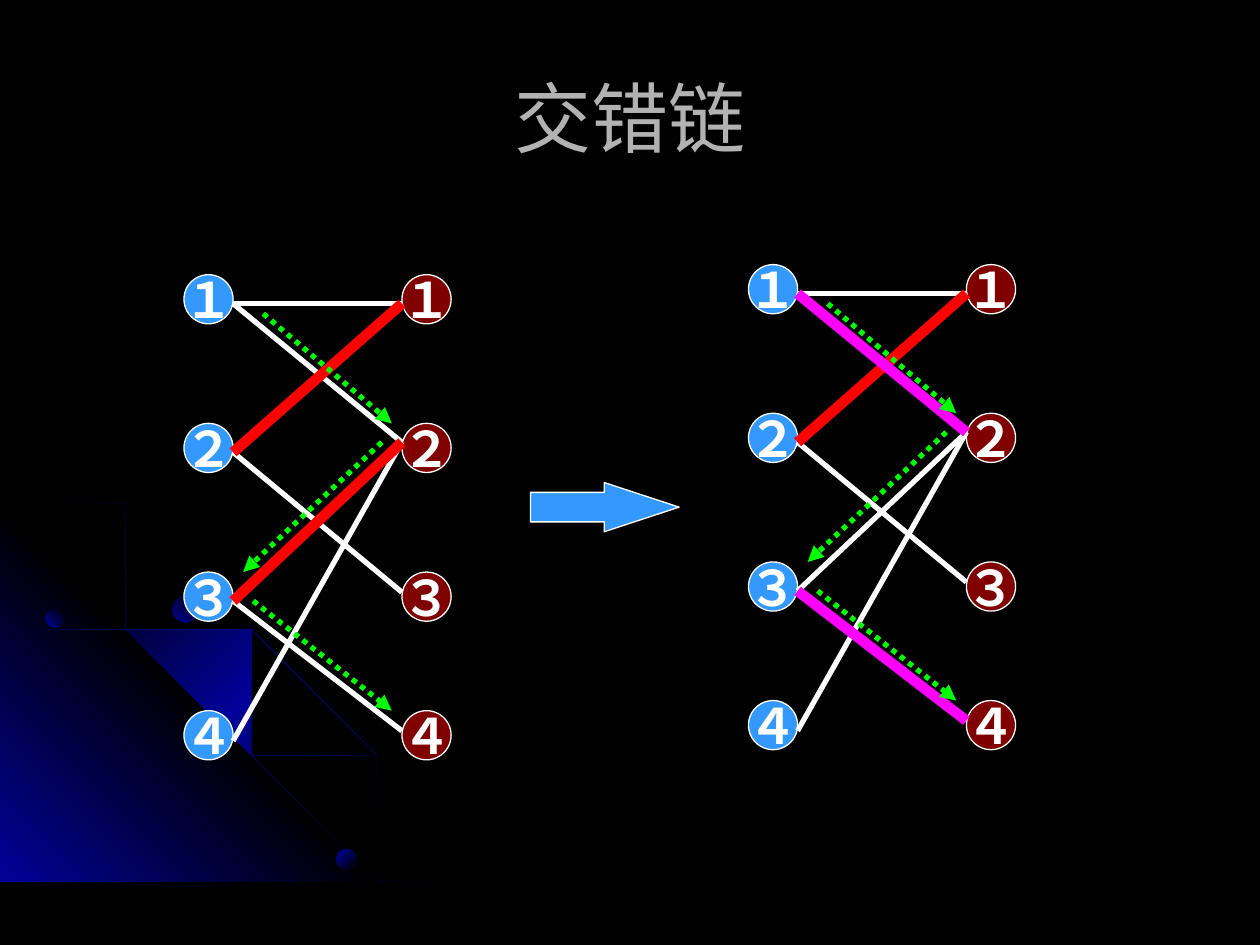
import pptx
import pptx.dml.color
import pptx.enum.dml
import pptx.enum.shapes
import pptx.enum.text
import pptx.oxml
import pptx.oxml.ns
import pptx.util

SHAPE = pptx.enum.shapes.MSO_SHAPE
Inches = pptx.util.Inches
Pt = pptx.util.Pt

COLORS = {
    "black": "000000", "navy": "010199", "title": "B2B2B2", "white": "FFFFFF",
    "left": "3399FF", "right": "800000", "red": "FF0000", "magenta": "FF00FF",
    "green": "00FF00",
}
TITLE = "交错链"
LABELS = ["１", "２", "３", "４"]
EDGES = [(1, 2), (2, 3), (2, 1), (3, 4), (1, 1), (3, 2), (4, 2)]
GRAPHS = [
    {"at": (1.46, 2.18), "marked": [(3, 2, "red"), (2, 1, "red")]},
    {"at": (5.94, 2.10), "marked": [(3, 4, "magenta"), (2, 1, "red"), (1, 2, "magenta")]},
]
STEPS = [((0.63, 0.31), (1.65, 1.18)), ((1.57, 1.33), (0.47, 2.36)), ((0.55, 2.59), (1.65, 3.46))]

SLIDE_W, SLIDE_H = 10, 7.5
NODE = 0.39
COLUMN = 1.73
ROWS = [0, 1.18, 2.36, 3.46]
LEFT_ENDS = [0.23, 1.41, 2.59, 3.70]
RIGHT_ENDS = [0.23, 1.33, 2.52, 3.62]
BAND = 0.02

ARCS = [
    [(0, 4.35), (0.57, 4.47), (0.98, 4.59), (1.36, 4.77), (1.74, 4.97), (2.09, 5.21), (2.42, 5.48),
     (2.72, 5.78), (3, 6.11), (3.25, 6.48), (3.39, 6.73), (3.52, 6.98), (3.62, 7.23), (3.72, 7.49)],
    [(0, 4.75), (0.41, 4.88), (0.79, 5.05), (1.17, 5.26), (1.52, 5.49), (1.84, 5.76), (2.15, 6.06),
     (2.42, 6.4), (2.66, 6.76), (2.86, 7.12), (2.96, 7.3), (3.03, 7.49)],
    [(0, 4.42), (0.39, 4.55), (0.76, 4.73), (1.11, 4.93), (1.44, 5.16), (1.75, 5.43), (2.04, 5.73),
     (2.29, 6.03), (2.54, 6.39), (2.69, 6.65), (2.82, 6.93), (2.94, 7.2), (3.03, 7.49)],
]
CORNER = [(0, 4.27), (3.22, 7.49), (0, 7.49)]
BEADS = [(0.36, 4.83, 0.15, 135), (2.67, 6.74, 0.16, 225), (1.37, 4.73, 0.21, 135)]


def rgb(name):
    return pptx.dml.color.RGBColor.from_string(COLORS[name])


def add_text(sp, text, size, color, font="Arial", bold=False, wrap=True):
    tf = sp.text_frame
    tf.word_wrap = wrap
    tf.vertical_anchor = pptx.enum.text.MSO_ANCHOR.MIDDLE
    p = tf.paragraphs[0]
    p.alignment = pptx.enum.text.PP_ALIGN.CENTER
    r = p.add_run()
    r.text = text
    r.font.size = Pt(size)
    r.font.name = font
    r.font.bold = bold
    r.font.color.rgb = rgb(color)


def add_shape(shapes, kind, x, y, w, h, fill):
    sp = shapes.add_shape(kind, Inches(x), Inches(y), Inches(w), Inches(h))
    sp.shadow.inherit = False
    sp.fill.solid()
    sp.fill.fore_color.rgb = rgb(fill)
    sp.line.color.rgb = rgb("white")
    sp.line.width = Pt(0.75)
    return sp


def set_gradient(sp, names, angle):
    sp.line.fill.background()
    sp.shadow.inherit = False
    sp.fill.gradient()
    grad = sp.fill._xPr.find(pptx.oxml.ns.qn("a:gradFill"))
    stops = "".join(
        f'<a:gs pos="{100000 * i // (len(names) - 1)}"><a:srgbClr val="{COLORS[name]}"/></a:gs>'
        for i, name in enumerate(names))
    new = pptx.oxml.parse_xml(
        f'<a:gradFill {pptx.oxml.ns.nsdecls("a")} rotWithShape="1"><a:gsLst>{stops}</a:gsLst>'
        f'<a:lin ang="{angle * 60000}" scaled="0"/></a:gradFill>')
    grad.getparent().replace(grad, new)


def add_outline(shapes, points, names, angle):
    builder = shapes.build_freeform(*points[0], scale=Inches(1))
    builder.add_line_segments(points[1:], close=True)
    set_gradient(builder.convert_to_shape(), names, angle)


def add_arc(shapes, outer):
    last = len(outer) - 1
    inner = [(x - BAND * i / last, y + BAND * (1 - i / last)) for i, (x, y) in enumerate(outer)]
    add_outline(shapes, outer + inner[::-1], ["black", "navy", "black"], 225)


def add_line(shapes, start, end, color, width=3, arrow=False):
    line = shapes.add_connector(
        pptx.enum.shapes.MSO_CONNECTOR.STRAIGHT, *(Inches(v) for v in (*start, *end)))
    line.line.color.rgb = rgb(color)
    line.line.width = Pt(width)
    if arrow:
        line.line.dash_style = pptx.enum.dml.MSO_LINE.ROUND_DOT
        line.line._get_or_add_ln().append(pptx.oxml.parse_xml(
            f'<a:tailEnd {pptx.oxml.ns.nsdecls("a")} type="triangle"/>'))
    line._element.spPr.append(pptx.oxml.parse_xml(
        f'<a:effectLst {pptx.oxml.ns.nsdecls("a")}/>'))


def add_graph(shapes, at, marked):
    x0, y0 = at
    for side, x in (("left", x0), ("right", x0 + COLUMN)):
        for label, row in zip(LABELS, ROWS):
            sp = add_shape(shapes, SHAPE.OVAL, x, y0 + row, NODE, NODE, side)
            font = "Lato" if (side, label) == ("left", LABELS[0]) else "Arial"
            add_text(sp, label, 28, "white", font=font, bold=True, wrap=False)
    plain = [(a, b, "white", 3) for a, b in EDGES]
    thick = [(a, b, color, 6) for a, b, color in marked]
    for a, b, color, width in plain + thick:
        add_line(shapes, (x0 + NODE, y0 + LEFT_ENDS[a - 1]),
                 (x0 + COLUMN, y0 + RIGHT_ENDS[b - 1]), color, width)
    for (x1, y1), (x2, y2) in STEPS:
        add_line(shapes, (x0 + x1, y0 + y1), (x0 + x2, y0 + y2), "green", arrow=True)


def main():
    prs = pptx.Presentation()
    prs.slide_width, prs.slide_height = Inches(SLIDE_W), Inches(SLIDE_H)
    slide = prs.slides.add_slide(prs.slide_layouts[6])
    slide.background.fill.solid()
    slide.background.fill.fore_color.rgb = rgb("black")
    shapes = slide.shapes

    add_arc(shapes, ARCS[0])
    add_outline(shapes, CORNER, ["navy", "black", "navy"], 135)
    for arc in ARCS[1:]:
        add_arc(shapes, arc)
    for x, y, size, angle in BEADS:
        sp = add_shape(shapes, SHAPE.OVAL, x, y, size, size, "navy")
        set_gradient(sp, ["black", "navy"], angle)

    title = shapes.add_textbox(Inches(0.5), Inches(0.3), Inches(SLIDE_W - 1), Inches(1.25))
    add_text(title, TITLE, 44, "title")
    for graph in GRAPHS:
        add_graph(shapes, **graph)
    sp = add_shape(shapes, SHAPE.RIGHT_ARROW, 4.21, 3.83, 1.18, NODE, "left")
    sp.adjustments[0], sp.adjustments[1] = 0.6, 1.52
    prs.save("out.pptx")


if __name__ == "__main__":
    main()
